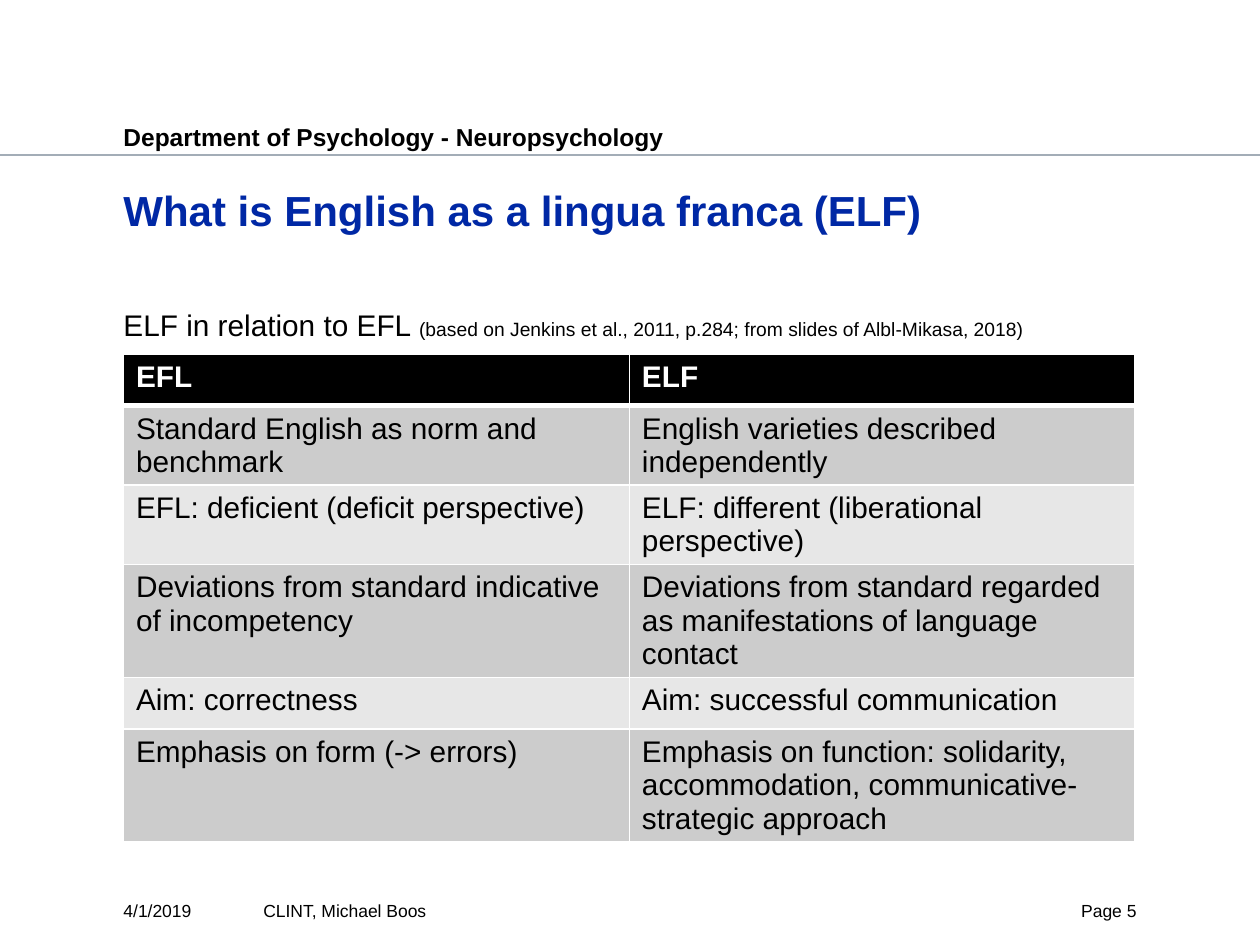
"""Build a slide comparing EFL and ELF in a two-column table."""
from lxml.etree import SubElement
from pptx import Presentation
from pptx.dml.color import RGBColor
from pptx.enum.shapes import MSO_CONNECTOR
from pptx.enum.text import MSO_ANCHOR, MSO_AUTO_SIZE, PP_ALIGN
from pptx.oxml import parse_xml
from pptx.oxml.ns import nsdecls, qn
from pptx.util import Inches, Pt

THEME = {
    "font": "Arial", "black": "000000", "white": "FFFFFF", "title": "0028A5",
    "rule": "A3ADB7", "bands": ("CCCCCC", "E7E7E7"),
    "title_size": 24, "body_size": 17, "header_size": 14, "note_size": 11, "footer_size": 10,
}
LEFT, WIDTH = 0.98, 8.03
DEPARTMENT = "Department of Psychology - Neuropsychology"
TITLE = "What is English as a lingua franca (ELF)"
INTRO = [
    ("ELF in relation to EFL ", THEME["body_size"]),
    ("(based on Jenkins et al., 2011, p.284; from slides of Albl-Mikasa, 2018)", THEME["note_size"]),
]
FOOTERS = [
    ("4/1/2019", LEFT, 1.02, PP_ALIGN.LEFT),
    ("CLINT, Michael Boos", 2.09, 5.75, PP_ALIGN.LEFT),
    ("Page 5", 8.15, 0.87, PP_ALIGN.RIGHT),
]
ROWS = [
    ("EFL", "ELF"),
    ("Standard English as norm and benchmark", "English varieties described independently"),
    ("EFL: deficient (deficit perspective)", "ELF: different (liberational perspective)"),
    ("Deviations from standard indicative of incompetency",
     "Deviations from standard regarded as manifestations of language contact"),
    ("Aim: correctness", "Aim: successful communication"),
    ("Emphasis on form (-> errors)",
     "Emphasis on function: solidarity, accommodation, communicative-strategic approach"),
]


def add_span(para, text, size, color=THEME["black"], bold=False):
    span = para.add_run()
    span.text = text
    span.font.name = THEME["font"]
    span.font.size = Pt(size)
    span.font.bold = bold
    span.font.color.rgb = RGBColor.from_string(color)


def place(box, left, top, width, height, inset=0.0):
    box.left, box.top, box.width, box.height = map(Inches, (left, top, width, height))
    frame = box.text_frame
    frame.word_wrap = True
    frame.auto_size = MSO_AUTO_SIZE.NONE
    frame.vertical_anchor = MSO_ANCHOR.TOP
    frame.margin_left = frame.margin_right = frame.margin_bottom = 0
    frame.margin_top = Inches(inset)
    para = frame.paragraphs[0]
    para.alignment = PP_ALIGN.LEFT
    para.space_before = Pt(0)
    return para


def add_label(page, text, bounds, size, align=PP_ALIGN.LEFT, bold=False, inset=0.0):
    box = page.shapes.add_textbox(*map(Inches, bounds))
    para = place(box, *bounds, inset)
    para.alignment = align
    add_span(para, text, size, bold=bold)


def add_rule(page):
    rule = page.shapes.add_connector(
        MSO_CONNECTOR.STRAIGHT, 0, Inches(1.23), Inches(10), Inches(1.23))
    rule.line.color.rgb = RGBColor.from_string(THEME["rule"])
    rule.line.width = Pt(1.25)
    SubElement(rule.element.spPr, qn("a:effectLst"))


def set_borders(cell, widths):
    properties = cell._tc.get_or_add_tcPr()
    for index, (side, width) in enumerate(widths.items()):
        properties.insert(index, parse_xml(
            f'<a:ln{side} {nsdecls("a")} w="{Pt(width)}"><a:solidFill>'
            f'<a:srgbClr val="{THEME["white"]}"/></a:solidFill></a:ln{side}>'))


def add_comparison(page):
    row_height = 0.41
    table = page.shapes.add_table(
        len(ROWS), len(ROWS[0]), Inches(LEFT), Inches(2.81),
        Inches(WIDTH), Inches(row_height * len(ROWS))).table
    for row_index, texts in enumerate(ROWS):
        table.rows[row_index].height = Inches(row_height)
        heading = row_index == 0
        fill = THEME["black"] if heading else THEME["bands"][(row_index - 1) % 2]
        color = THEME["white"] if heading else THEME["black"]
        widths = {"L": 1, "R": 1, "T": 3 if row_index == 1 else 1, "B": 3 if heading else 1}
        for column_index, text in enumerate(texts):
            cell = table.cell(row_index, column_index)
            cell.fill.solid()
            cell.fill.fore_color.rgb = RGBColor.from_string(fill)
            set_borders(cell, widths)
            add_span(cell.text_frame.paragraphs[0], text, THEME["body_size"], color, heading)


def main():
    deck = Presentation()
    deck.slide_width, deck.slide_height = Inches(10), Inches(7.5)
    page = deck.slides.add_slide(deck.slide_layouts[1])

    add_rule(page)
    add_label(page, DEPARTMENT, (LEFT, 0.93, WIDTH, 0.25), THEME["header_size"],
              bold=True, inset=0.04)

    title = place(page.shapes.title, LEFT, 1.39, WIDTH, 0.55, 0.04)
    title.line_spacing = 1.08
    add_span(title, TITLE, THEME["title_size"], THEME["title"], True)

    intro = place(page.placeholders[1], LEFT, 2.41, WIDTH, 0.39)
    intro.line_spacing = 1.08
    properties = intro._p.get_or_add_pPr()
    properties.set("marL", "0")
    properties.set("indent", "0")
    SubElement(properties, qn("a:buNone"))
    for text, size in INTRO:
        add_span(intro, text, size)

    add_comparison(page)
    for text, left, width, align in FOOTERS:
        add_label(page, text, (left, 7.14, width, 0.24), THEME["footer_size"], align)
    deck.save("out.pptx")


if __name__ == "__main__":
    main()
